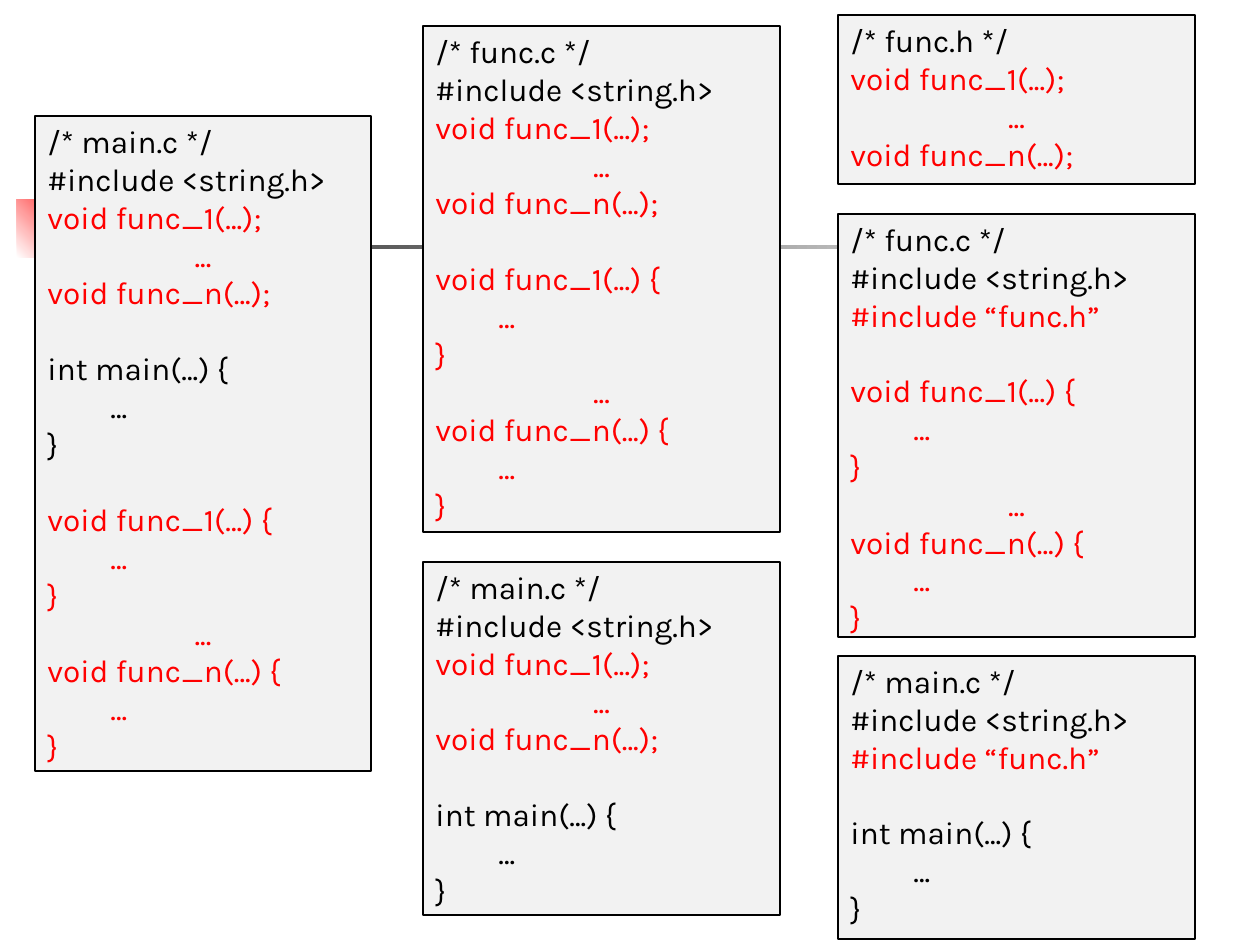
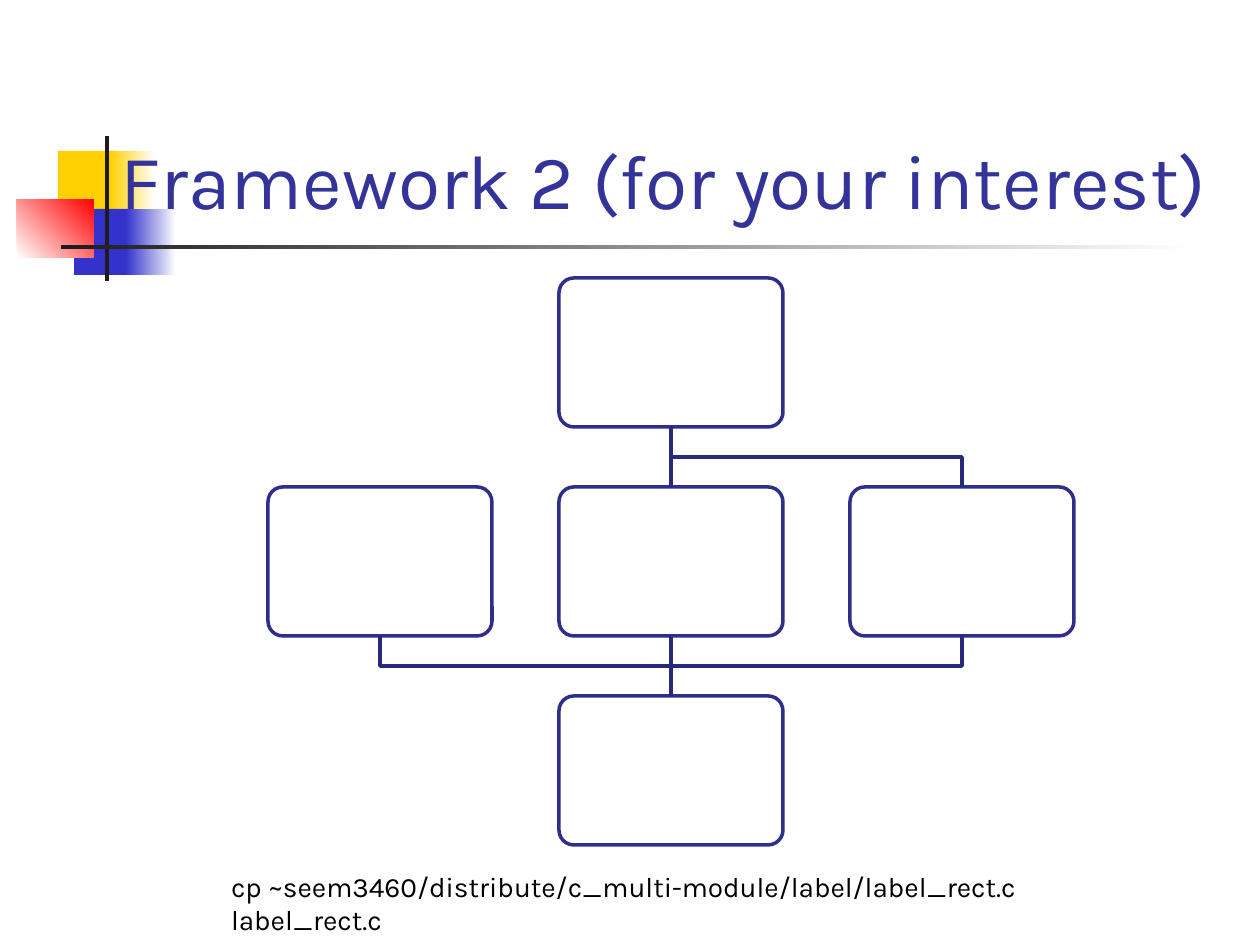
import pptx
import pptx.dml.color
import pptx.enum.shapes
import pptx.enum.text
import pptx.oxml.ns
import pptx.util
from lxml import etree

SCALE = 914400 / 126
SHAPES = pptx.enum.shapes.MSO_SHAPE
ANCHOR = pptx.enum.text.MSO_ANCHOR
ALIGN = pptx.enum.text.PP_ALIGN


def px(length):
    return pptx.util.Emu(round(length * SCALE))


def colour(value):
    return pptx.dml.color.RGBColor.from_string(value)


def set_formats(target, formats):
    for key, value in formats.items():
        setattr(target, key, value)


class Deck:
    BLACK, RED, WHITE = "000000", "FF0000", "FFFFFF"
    YELLOW, BLUE, CHARCOAL = "FFCF01", "3333CC", "1C1C1C"
    TITLE, PANEL = "333399", "F2F2F2"
    NODE, LINK = "2E2E8B", "29297B"
    FONT = "Karla"
    CODE_SIZE = 18

    def __init__(self):
        self.file = pptx.Presentation()
        self.file.slide_width, self.file.slide_height = px(1260), px(945)
        self.slide = None

    def new_slide(self):
        self.slide = self.file.slides.add_slide(self.file.slide_layouts[6])

    def box(self, area, fill, outline=None, width=0.75, kind=SHAPES.RECTANGLE):
        shape = self.slide.shapes.add_shape(kind, *map(px, area))
        shape.shadow.inherit = False
        shape.fill.solid()
        shape.fill.fore_color.rgb = colour(fill)
        if outline:
            self.stroke(shape.line, outline, width)
        else:
            shape.line.fill.background()
        return shape

    def fade(self, area, start, end, angle=0):
        band = self.box(area, start)
        band.fill.gradient()
        band.fill.gradient_angle = angle
        for stop, value in zip(band.fill.gradient_stops, (start, end)):
            stop.color.rgb = colour(value)

    def stroke(self, line, value, width):
        line.color.rgb = colour(value)
        line.width = pptx.util.Pt(width)

    def add_words(self, paragraph, text, size, value):
        run = paragraph.add_run()
        run.text = text
        set_formats(run.font, {"name": self.FONT, "size": pptx.util.Pt(size)})
        run.font.color.rgb = colour(value)

    def label(self, area, text, size, value, **frame_formats):
        frame = self.slide.shapes.add_textbox(*map(px, area)).text_frame
        set_formats(frame, {"word_wrap": True, **frame_formats})
        self.add_words(frame.paragraphs[0], text, size, value)

    def listing(self, area, *parts):
        frame = self.box(area, self.PANEL, self.BLACK).text_frame
        set_formats(frame, {"word_wrap": True, "vertical_anchor": ANCHOR.TOP})
        paragraph, gap = frame.paragraphs[0], 0
        for value, code in parts:
            for text in code.split("\n"):
                if not text:
                    gap = self.CODE_SIZE * 1.2
                    continue
                if paragraph.runs:
                    paragraph = frame.add_paragraph()
                set_formats(paragraph, {
                    "alignment": ALIGN.CENTER if text == "..." else ALIGN.LEFT,
                    "space_before": pptx.util.Pt(gap),
                })
                self.add_words(paragraph, text, self.CODE_SIZE, value)
                gap = 0

    def node(self, area):
        shape = self.box(area, self.WHITE, self.NODE, 2, SHAPES.ROUNDED_RECTANGLE)
        shape.adjustments[0] = 0.1

    def straight_link(self, start, end):
        link = self.slide.shapes.add_connector(
            pptx.enum.shapes.MSO_CONNECTOR.STRAIGHT, *map(px, start + end))
        self.stroke(link.line, self.LINK, 2)
        etree.SubElement(link._element.spPr, pptx.oxml.ns.qn("a:effectLst"))

    def bent_link(self, start, end):
        middle = (start[1] + end[1]) / 2
        outline = self.slide.shapes.build_freeform(*start, scale=SCALE)
        outline.add_line_segments(
            [(start[0], middle), (end[0], middle), end], close=False)
        link = outline.convert_to_shape()
        link.shadow.inherit = False
        link.fill.background()
        self.stroke(link.line, self.LINK, 2)

    def red_fade(self):
        self.fade((17, 199, 77, 59), self.WHITE, self.RED, 45)

    def title_rule(self):
        self.fade((61, 245, 1134, 4), self.CHARCOAL, self.WHITE)

    def title(self, text):
        for left, top, solid, faded, value in (
                (58, 151, 60, 45, self.YELLOW), (74, 209, 58, 50, self.BLUE)):
            self.box((left, top, solid, 66), value)
            self.fade((left + 52, top, faded, 66), value, self.WHITE)
        self.red_fade()
        self.box((105, 136, 4, 145), self.CHARCOAL)
        self.title_rule()
        self.label((108, 29, 1124, 202), text, 44, self.TITLE,
                   vertical_anchor=ANCHOR.BOTTOM)


def header(file_name):
    return Deck.BLACK, f"/* {file_name} */\n#include <string.h>"


def function(signature):
    return f"{signature}(...) {{\n\t...\n}}"


prototypes = Deck.RED, "void func_1(...);\n...\nvoid func_n(...);"
include = Deck.RED, "#include \u201cfunc.h\u201d"
main = Deck.BLACK, "\n" + function("int main")
bodies = Deck.RED, "\n".join(
    ["", function("void func_1"), "...", function("void func_n")])

deck = Deck()

deck.new_slide()
deck.red_fade()
deck.title_rule()
deck.listing((35, 116, 336, 655), header("main.c"), prototypes, main, bodies)
deck.listing((423, 26, 357, 506), header("func.c"), prototypes, bodies)
deck.listing((423, 562, 357, 353), header("main.c"), prototypes, main)
deck.listing((838, 656, 357, 283), header("main.c"), include, main)
deck.listing((838, 214, 357, 423), header("func.c"), include, bodies)
deck.listing((838, 15, 357, 169), (Deck.BLACK, "/* func.h */"), prototypes)

deck.new_slide()
deck.title("Framework 2 (for your interest)")
node_width, node_height = 224, 149
columns = [268 + 291 * index for index in range(3)]
rows = [278 + 209 * index for index in range(3)]
left_axis, middle_axis, right_axis = [x + node_width / 2 for x in columns]
top_end, middle_end = [y + node_height for y in rows[:2]]

for column, row in ((1, 0), (0, 1), (1, 1), (2, 1), (1, 2)):
    deck.node((columns[column], rows[row], node_width, node_height))
for end, next_row in ((top_end, rows[1]), (middle_end, rows[2])):
    deck.straight_link((middle_axis, end), (middle_axis, next_row))
deck.bent_link((middle_axis, top_end), (right_axis, rows[1]))
for axis in (left_axis, right_axis):
    deck.bent_link((axis, middle_end), (middle_axis, rows[2]))

deck.label((144, 863, 1012, 47),
           "cp ~seem3460/distribute/c_multi-module/label/label_rect.c label_rect.c",
           16, Deck.BLACK, margin_left=px(87), margin_right=px(13))

deck.file.save("out.pptx")
